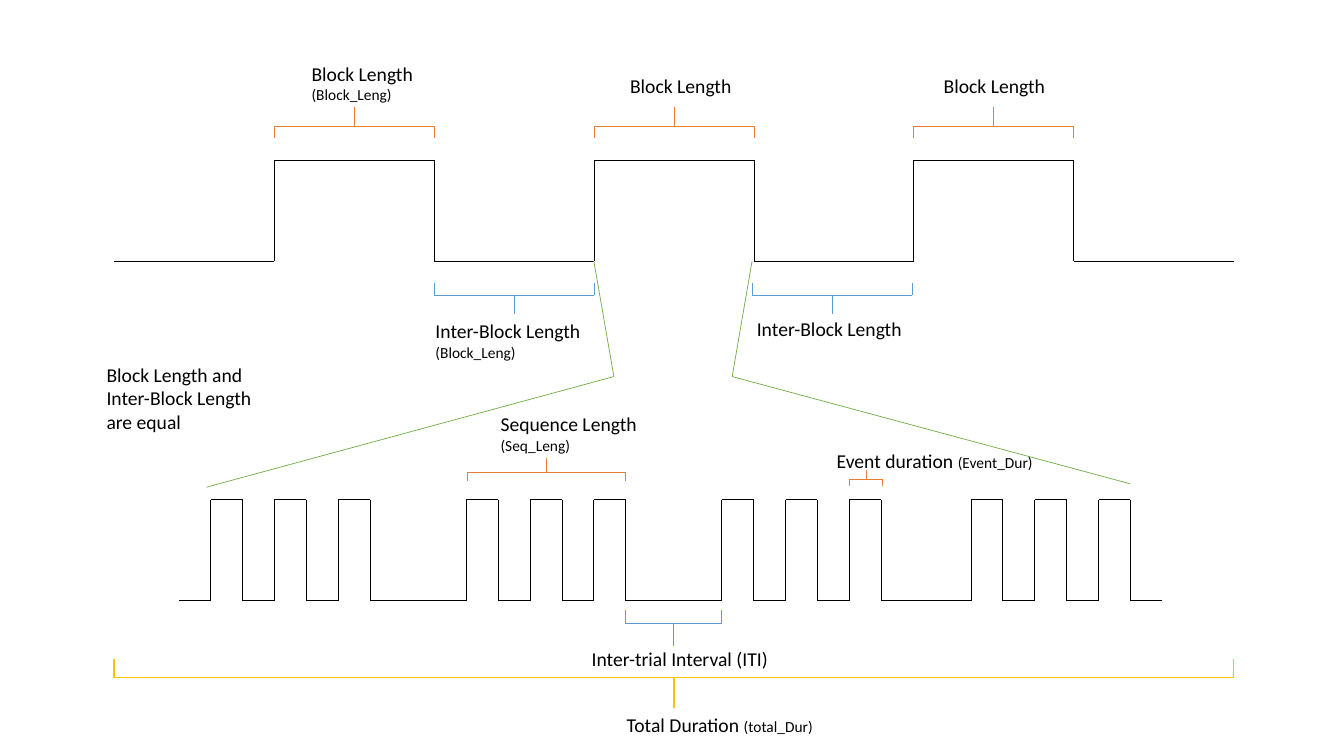
from dataclasses import dataclass
from itertools import pairwise

from lxml.etree import SubElement
from pptx import Presentation
from pptx.dml.color import RGBColor
from pptx.enum.shapes import MSO_CONNECTOR as Connector
from pptx.oxml.ns import qn
from pptx.util import Pt


@dataclass(frozen=True)
class Theme:
    font: str = "Calibri"
    label_size: float = 14
    note_size: float = 11
    ink: str = "000000"
    active: str = "ED7D31"
    rest: str = "5B9BD5"
    zoom: str = "70AD47"
    total: str = "FFC000"
    thin: float = 0.5
    thick: float = 1


theme = Theme()
presentation = Presentation()
presentation.slide_width = Pt(960)
presentation.slide_height = Pt(540)
slide = presentation.slides.add_slide(presentation.slide_layouts[6])


def draw_path(points, colour=theme.ink, width=theme.thin):
    for start, end in pairwise(points):
        connector = slide.shapes.add_connector(
            Connector.STRAIGHT, *(Pt(value) for value in (*start, *end))
        )
        connector.line.color.rgb = RGBColor.from_string(colour)
        connector.line.width = Pt(width)
        SubElement(connector._element.spPr, qn("a:effectLst"))


def add_text(text, left, top, width, height, note="", note_below=False):
    box = slide.shapes.add_textbox(Pt(left), Pt(top), Pt(width), Pt(height))
    frame = box.text_frame
    frame.word_wrap = True
    paragraph = frame.paragraphs[0]
    for content, size in ((text, theme.label_size), (note, theme.note_size)):
        if not content:
            continue
        if content == note and note_below:
            paragraph = frame.add_paragraph()
        run = paragraph.add_run()
        run.text = content
        run.font.name = theme.font
        run.font.size = Pt(size)
        run.font.color.rgb = RGBColor.from_string(theme.ink)


block = 114.25
block_edges = [81.5 + block * index for index in range(8)]
block_rises = block_edges[1:7:2]
event = 22.8
sequence_starts = [150.5, 333, 515.5, 693.5]
event_rises = [start + 2 * event * index for start in sequence_starts for index in range(3)]

waves = [
    (block_edges[0], block_edges[-1], block_rises, block, 114.5, 186.5),
    (127.7, 830.3, event_rises, event, 357, 429),
]
for left, right, rises, length, high, low in waves:
    points = [(left, low)]
    for rise in rises:
        fall = rise + length
        points += [(rise, low), (rise, high), (fall, high), (fall, low)]
    draw_path(points + [(right, low)])

brackets = [(rise, rise + block, 98.5, 90, 76.5, theme.active, theme.thin) for rise in block_rises]
brackets += [(left, left + block, 202.5, 211, 224.5, theme.rest, theme.thin) for left in (310, 537.2)]
brackets += [
    (447, 515.5, 435.5, 445.5, 461.5, theme.rest, theme.thin),
    (607, 630, 347, 342.5, 335.5, theme.active, theme.thin),
    (334, 447, 343.5, 337.5, 327.5, theme.active, theme.thin),
    (block_edges[0], block_edges[-1], 471, 484, 505.5, theme.total, theme.thick),
]
for left, right, tip, bar, stem, colour, width in brackets:
    middle = (left + right) / 2
    draw_path([(left, tip), (left, bar), (right, bar), (right, tip)], colour, width)
    draw_path([(middle, bar), (middle, stem)], colour, width)

draw_path([(424.2, 186.5), (438.5, 269), (147.5, 348)], theme.zoom)
draw_path([(537.2, 186.5), (523, 269), (807, 345.5)], theme.zoom)

add_text("Block Length ", 215.5, 40.5, 116.5, 37.5, note="(Block_Leng)")
for left in (443, 667):
    add_text("Block Length", left, 49.5, 105, 24.5)
add_text("Inter-Block Length", 304, 224.5, 134.5, 37.5, note="(Block_Leng)", note_below=True)
add_text("Inter-Block Length", 533.5, 222.5, 134.5, 41)
add_text("Block Length and Inter-Block Length are equal", 69, 255.5, 134.5, 58.5)
add_text("Sequence Length", 350.5, 291, 114, 37.5, note="(Seq_Leng)", note_below=True)
add_text("Event duration ", 590.5, 317, 204, 24.5, note="(Event_Dur)")
add_text("Inter-trial Interval (ITI)", 415.5, 458.5, 180.5, 24.5)
add_text("Total Duration ", 440.5, 505.5, 155.5, 24.5, note="(total_Dur)")

presentation.save("out.pptx")
